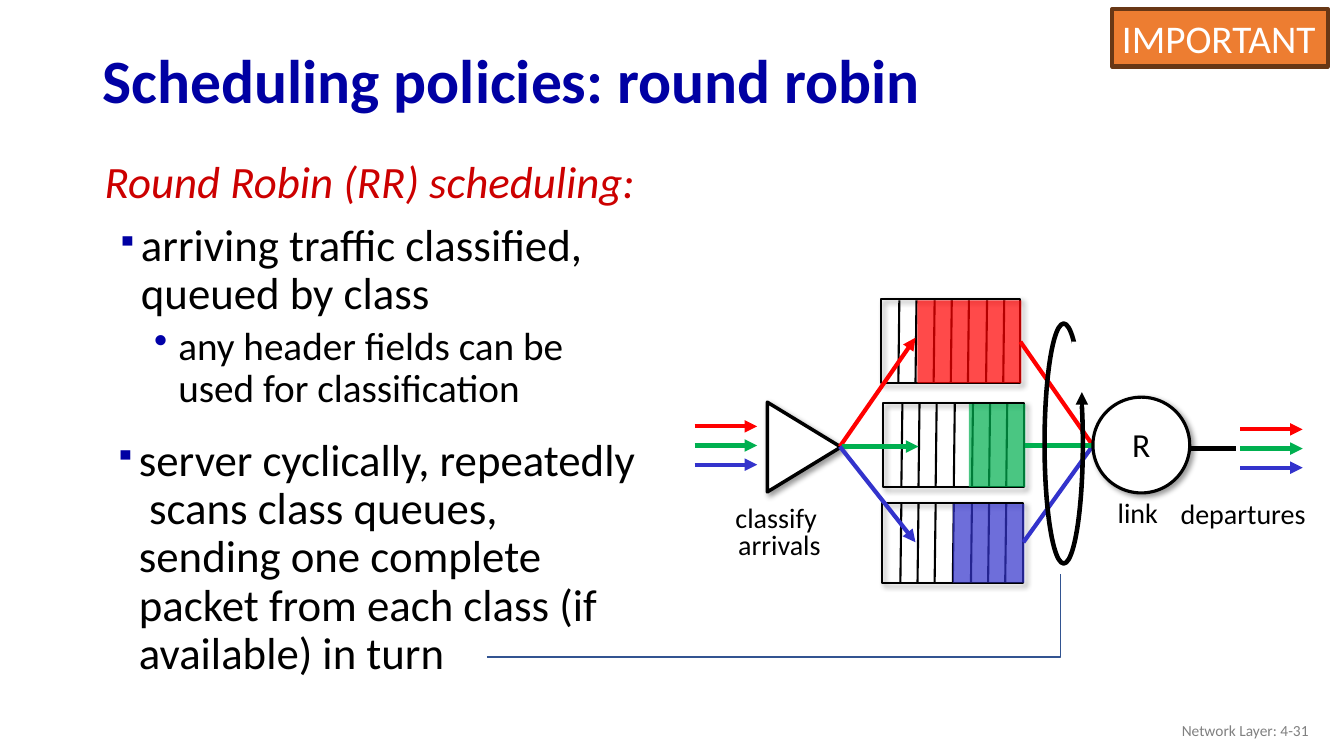
from dataclasses import dataclass

from lxml.etree import SubElement
from pptx import Presentation
from pptx.dml.color import RGBColor
from pptx.enum.shapes import MSO_CONNECTOR, MSO_SHAPE as Preset
from pptx.enum.text import MSO_ANCHOR as Anchor, PP_ALIGN as Align
from pptx.oxml.ns import qn
from pptx.util import Emu, Pt

PX = 9144  # 100 px to the inch
BLACK, WHITE = "000000", "FFFFFF"
NAVY, CRIMSON, GRAY = "0000A3", "CC0000", "808080"
RED, GREEN, BLUE = "FF0000", "00B050", "3333CC"


@dataclass
class Para:
    text: str
    size: int
    color: str = BLACK
    bold: bool = False
    italic: bool = False
    align: Align = Align.LEFT
    spacing: float = 0.9
    before: int = 0
    margin: int = 0
    hanging: int = 0
    level: int = 0
    bullet: str = ""
    bullet_color: str = NAVY
    bullet_percent: int = 100


@dataclass
class Queue:
    box: tuple[int, int, int, int]
    filled_from: int
    color: str


@dataclass
class Line:
    start: tuple[int, int]
    end: tuple[int, int]
    color: str = BLACK
    width: float = 3
    arrow: bool = False


def px(value: int) -> Emu:
    return Emu(value * PX)


def rgb(color: str) -> RGBColor:
    return RGBColor.from_string(color)


def add_color(parent, color: str, alpha: int | None = None) -> None:
    node = SubElement(parent, qn("a:srgbClr"), val=color)
    if alpha is not None:
        SubElement(node, qn("a:alpha"), val=str(alpha * 1000))


def add_shadow(shape) -> None:
    effects = shape._element.spPr.find(qn("a:effectLst"))
    outer = SubElement(effects, qn("a:outerShdw"), blurRad=str(Pt(4)), dist=str(Pt(3)),
                       dir=str(45 * 60000), algn="tl", rotWithShape="0")
    add_color(outer, BLACK, 40)


def style(shape, fill: str | None, line: str | None, width: float) -> None:
    shape.shadow.inherit = False
    if fill:
        shape.fill.solid()
        shape.fill.fore_color.rgb = rgb(fill)
    else:
        shape.fill.background()
    if line:
        shape.line.color.rgb = rgb(line)
        shape.line.width = Pt(width)
    else:
        shape.line.fill.background()


def draw_shape(shapes, preset: Preset, box: tuple[int, int, int, int], fill: str | None = None,
               line: str | None = None, width: float = 1.5, shadow: bool = False,
               alpha: int | None = None):
    shape = shapes.add_shape(preset, *map(px, box))
    style(shape, fill, line, width)
    if shadow:
        add_shadow(shape)
    if alpha is not None:
        color = shape._element.spPr.find(qn("a:solidFill"))[0]
        SubElement(color, qn("a:alpha"), val=str(alpha * 1000))
    return shape


def draw_line(shapes, line: Line) -> None:
    connector = shapes.add_connector(MSO_CONNECTOR.STRAIGHT, *map(px, line.start + line.end))
    connector.line.color.rgb = rgb(line.color)
    connector.line.width = Pt(line.width)
    properties = connector._element.spPr
    if line.arrow:
        SubElement(properties.find(qn("a:ln")), qn("a:tailEnd"), type="triangle")
    SubElement(properties, qn("a:effectLst"))


def write(frame, paras: list[Para], wrap: bool, anchor: Anchor) -> None:
    frame.word_wrap = wrap
    frame.vertical_anchor = anchor
    for index, para in enumerate(paras):
        paragraph = frame.add_paragraph() if index else frame.paragraphs[0]
        paragraph.alignment = para.align
        paragraph.level = para.level
        paragraph.line_spacing = para.spacing
        paragraph.space_before = Pt(para.before)
        properties = paragraph._p.get_or_add_pPr()
        properties.set("marL", str(px(para.margin)))
        properties.set("indent", str(px(-para.hanging)))
        if para.bullet:
            add_color(SubElement(properties, qn("a:buClr")), para.bullet_color)
            SubElement(properties, qn("a:buSzPct"), val=str(para.bullet_percent * 1000))
            SubElement(properties, qn("a:buChar"), char=para.bullet)
        run = paragraph.add_run()
        run.text = para.text
        font = run.font
        font.name, font.size = "Calibri", Pt(para.size)
        font.bold, font.italic = para.bold, para.italic
        font.color.rgb = rgb(para.color)


def draw_text(shapes, box: tuple[int, int, int, int], paras: list[Para], wrap: bool = True,
              anchor: Anchor = Anchor.TOP) -> None:
    write(shapes.add_textbox(*map(px, box)).text_frame, paras, wrap, anchor)


def draw_label(shapes, box: tuple[int, int, int, int], *words: str, size: int = 20) -> None:
    paras = [Para(word, size, align=Align.CENTER, spacing=0.8) for word in words]
    draw_text(shapes, box, paras, wrap=False)


def square_point(text: str) -> Para:
    return Para(text, 32, before=10, margin=51, hanging=24, bullet="▪", bullet_percent=65)


def draw_queue(shapes, queue: Queue, slots: int = 8) -> None:
    left, top, width, height = queue.box
    draw_shape(shapes, Preset.RECTANGLE, queue.box, line=BLACK, shadow=True)
    for slot in range(1, slots):
        x = left + round(width * slot / slots)
        draw_line(shapes, Line((x + 1, top + 1), (x, top + height), width=1.5))
    packets = (queue.filled_from, top + 1, left + width - queue.filled_from + 1, height - 1)
    draw_shape(shapes, Preset.RECTANGLE, packets, fill=queue.color, alpha=71)


def draw_flows(shapes, left: int, top: int) -> None:
    for row, color in enumerate((RED, GREEN, BLUE)):
        y = top + 19 * row
        draw_line(shapes, Line((left, y), (left + 62, y), color, arrow=True))


def main() -> None:
    deck = Presentation()
    deck.slide_width, deck.slide_height = px(1333), px(750)
    shapes = deck.slides.add_slide(deck.slide_layouts[6]).shapes

    # Title and explanation
    draw_text(shapes, (92, 34, 1150, 98),
              [Para("Scheduling policies: round robin", 44, NAVY, bold=True)],
              anchor=Anchor.MIDDLE)
    draw_text(shapes, (79, 154, 564, 275), [
        Para("Round Robin (RR) scheduling:", 32, CRIMSON, italic=True, before=10,
             margin=39, hanging=24),
        square_point("arriving traffic classified, queued by class"),
        Para("any header fields can be used for classification", 28, before=5,
             margin=88, hanging=24, level=1, bullet="•", bullet_color="0000A8"),
    ])
    draw_text(shapes, (77, 429, 570, 257), [
        square_point("server cyclically, repeatedly  scans class queues, sending one complete "
                     "packet from each class (if available) in turn"),
    ])

    # Class queues
    for queue in (Queue((874, 297, 138, 83), 910, RED),
                  Queue((876, 400, 140, 83), 961, GREEN),
                  Queue((875, 499, 140, 79), 945, BLUE)):
        draw_queue(shapes.add_group_shape().shapes, queue)

    # Classifier, arrivals and departures
    classifier = draw_shape(shapes, Preset.ISOSCELES_TRIANGLE, (753, 407, 89, 73),
                            WHITE, BLACK, 2.5, shadow=True)
    classifier.rotation = 90
    for left, top in ((689, 423), (1230, 426)):
        draw_flows(shapes.add_group_shape().shapes, left, top)
    draw_label(shapes, (719, 498, 108, 65), "classify ", "arrivals")
    draw_label(shapes, (1160, 494, 146, 38), "departures")

    # Paths into and out of the queues
    for path in (Line((833, 443), (908, 335), RED, arrow=True),
                 Line((835, 443), (911, 443), GREEN, arrow=True),
                 Line((833, 443), (908, 538), BLUE, arrow=True),
                 Line((1012, 339), (1084, 442), RED),
                 Line((1015, 538), (1084, 442), BLUE),
                 Line((1017, 442), (1084, 442), GREEN),
                 Line((1176, 445), (1226, 445))):
        draw_line(shapes, path)

    # Output link
    link = shapes.add_group_shape().shapes
    draw_shape(link, Preset.OVAL, (1084, 394, 96, 95), WHITE, BLACK, 2.25, shadow=True)
    draw_label(link, (1098, 493, 61, 38), "link")
    draw_label(link, (1113, 423, 38, 43), "R", size=24)

    # Cyclic scan: open loop with an arrow, and its callout
    draw_shape(shapes, Preset.OVAL, (1036, 321, 38, 238), line=BLACK, width=3.25)
    draw_shape(shapes, Preset.RECTANGLE, (1063, 339, 21, 64), WHITE)
    draw_line(shapes, Line((1073, 418), (1073, 389), arrow=True))
    callout = shapes.build_freeform(483, 652, scale=PX)
    callout.add_line_segments([(1052, 652), (1052, 569)], close=False)
    style(callout.convert_to_shape(), None, "325491", 1)

    # Footer and badge
    draw_text(shapes, (1008, 705, 300, 40),
              [Para("Network Layer: 4-31", 11, GRAY, align=Align.RIGHT, spacing=1)],
              anchor=Anchor.MIDDLE)
    badge = draw_shape(shapes, Preset.RECTANGLE, (1103, 9, 214, 57), "ED7D31", "683715", 3)
    write(badge.text_frame, [Para("IMPORTANT", 28, WHITE, spacing=1)], False, Anchor.TOP)

    deck.save("out.pptx")


if __name__ == "__main__":
    main()
